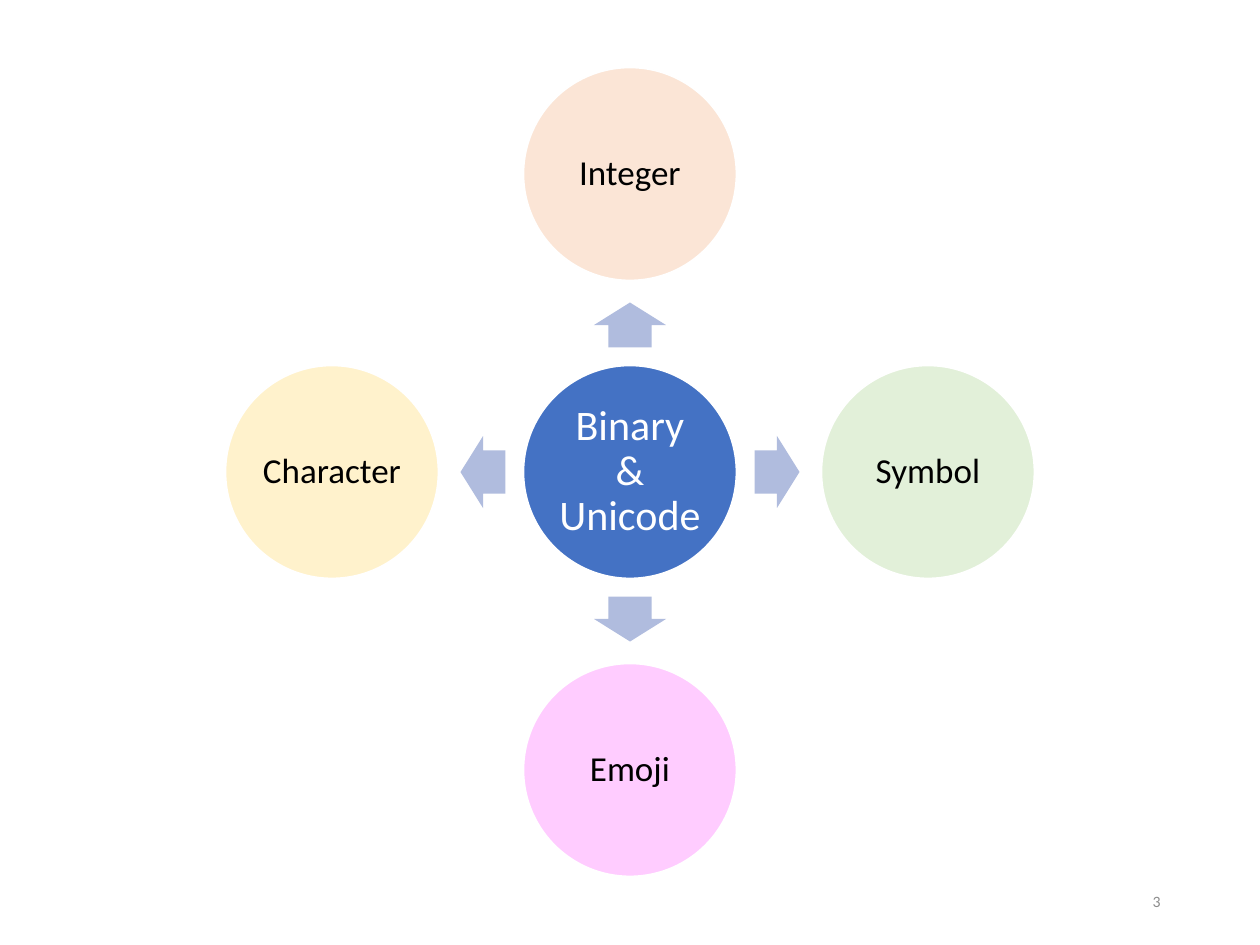
from pptx import Presentation
from pptx.dml.color import RGBColor
from pptx.enum.shapes import MSO_SHAPE as Shape
from pptx.enum.text import MSO_ANCHOR as Anchor, PP_ALIGN as Align
from pptx.util import Emu, Pt

EMU_PER_PX = 914400 / 126
WHITE = RGBColor(0xFF, 0xFF, 0xFF)
BLACK = RGBColor(0x00, 0x00, 0x00)
GRAY = RGBColor(0x8C, 0x8C, 0x8C)
BLUE = RGBColor(0x44, 0x72, 0xC4)
PERIWINKLE = RGBColor(0xB0, 0xBC, 0xDE)
PEACH = RGBColor(0xFB, 0xE5, 0xD6)
GREEN = RGBColor(0xE2, 0xF0, 0xD9)
PINK = RGBColor(0xFF, 0xCC, 0xFF)
CREAM = RGBColor(0xFF, 0xF2, 0xCC)

CENTER_X, CENTER_Y = 630, 472
DIAMETER = 213
CIRCLE_DISTANCE = 298
ARROW_DISTANCE = 147
ARROW_WIDTH, ARROW_HEIGHT = 45, 72


def px(length):
    return Emu(round(length * EMU_PER_PX))


def add_centered(kind, x, y, width, height, fill):
    shape = slide.shapes.add_shape(
        kind, px(x - width / 2), px(y - height / 2), px(width), px(height))
    shape.shadow.inherit = False
    shape.fill.solid()
    shape.fill.fore_color.rgb = fill
    return shape


presentation = Presentation()
presentation.slide_width, presentation.slide_height = px(1260), px(945)
slide = presentation.slides.add_slide(presentation.slide_layouts[6])

# Circles: the hub, then one in each direction clockwise from the top
circles = [
    ("Binary & Unicode", 0, 0, BLUE, WHITE, 24),
    ("Integer", 0, -1, PEACH, BLACK, 20),
    ("Symbol", 1, 0, GREEN, BLACK, 20),
    ("Emoji", 0, 1, PINK, BLACK, 20),
    ("Character", -1, 0, CREAM, BLACK, 20),
]
for label, dx, dy, fill, color, size in circles:
    circle = add_centered(
        Shape.OVAL, CENTER_X + dx * CIRCLE_DISTANCE,
        CENTER_Y + dy * CIRCLE_DISTANCE, DIAMETER, DIAMETER, fill)
    circle.line.color.rgb = WHITE
    circle.line.width = Pt(1)
    frame = circle.text_frame
    frame.word_wrap = True
    frame.vertical_anchor = Anchor.MIDDLE
    frame.margin_left = frame.margin_right = px(4)
    frame.margin_top = frame.margin_bottom = px(4)
    frame.text = label
    paragraph = frame.paragraphs[0]
    paragraph.alignment = Align.CENTER
    paragraph.line_spacing = 0.9
    font = paragraph.runs[0].font
    font.name, font.size = "Calibri", Pt(size)
    font.color.rgb = color

# Arrows pointing outwards from the hub
for dx, dy, rotation in [(0, -1, 270), (1, 0, 0), (0, 1, 90), (-1, 0, 180)]:
    arrow = add_centered(
        Shape.RIGHT_ARROW, CENTER_X + dx * ARROW_DISTANCE,
        CENTER_Y + dy * ARROW_DISTANCE, ARROW_WIDTH, ARROW_HEIGHT, PERIWINKLE)
    arrow.adjustments[0] = 0.6
    arrow.adjustments[1] = 0.5
    arrow.rotation = rotation
    arrow.line.fill.background()

# Slide number
number = slide.shapes.add_textbox(px(890), px(876), px(283), px(50))
frame = number.text_frame
frame.word_wrap = True
frame.vertical_anchor = Anchor.MIDDLE
frame.text = "3"
paragraph = frame.paragraphs[0]
paragraph.alignment = Align.RIGHT
font = paragraph.runs[0].font
font.name, font.size = "Calibri", Pt(9)
font.color.rgb = GRAY

presentation.save("out.pptx")
